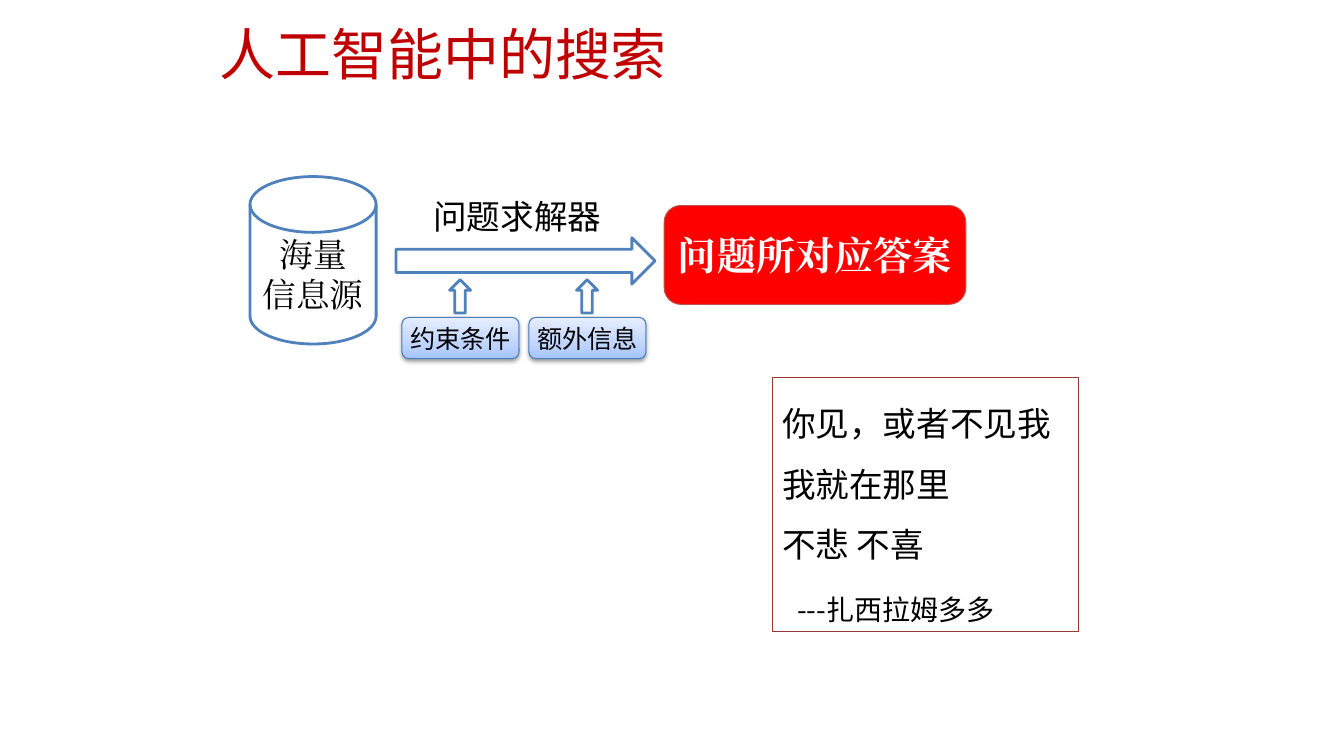
from lxml.etree import SubElement as Sub
from pptx import Presentation
from pptx.dml.color import RGBColor as RGB
from pptx.enum.shapes import MSO_SHAPE as Kind
from pptx.enum.text import MSO_ANCHOR as Anchor, MSO_AUTO_SIZE as Auto, PP_ALIGN as Align
from pptx.oxml.ns import qn
from pptx.util import Cm, Pt

WHITE = RGB(0xFF, 0xFF, 0xFF)
BLACK = RGB(0, 0, 0)
RED = RGB(0xFF, 0, 0)
CRIMSON = RGB(0xC0, 0, 0)
BRICK = RGB(0xC0, 0x50, 0x4D)
MAROON = RGB(0x95, 0x37, 0x35)
BLUE = RGB(0x4F, 0x81, 0xBD)
STEEL = RGB(0x4B, 0x7E, 0xBC)
FADE = [(0, RGB(0xA4, 0xC4, 0xFF)), (35, RGB(0xBF, 0xD4, 0xFF)),
        (100, RGB(0xE6, 0xEE, 0xFF))]

SANS = "Noto Sans CJK SC"
SERIF = "Times New Roman"


def write(frame, text, size=24, font=SANS, color=BLACK, bold=False, align=Align.LEFT,
          anchor=Anchor.TOP, wrap=True, space=None, pad=(0.25, 0.13, 0.25, 0.13)):
    """Fill a text frame, one paragraph a line; pad is left, top, right, bottom in cm."""
    frame.word_wrap = wrap
    frame.vertical_anchor = anchor
    (frame.margin_left, frame.margin_top,
     frame.margin_right, frame.margin_bottom) = map(Cm, pad)
    for i, line in enumerate(text.split("\n")):
        para = frame.add_paragraph() if i else frame.paragraphs[0]
        para.alignment, para.line_spacing = align, space
        run = para.add_run()
        run.text = line
        face = run.font
        face.size, face.name, face.bold = Pt(size), font, bold
        face.color.rgb = color
        Sub(run._r.get_or_add_rPr(), qn("a:ea"), typeface=font)


class Board:
    """Holds the line style and the current slide; lengths are in cm."""

    def __init__(self, deck, line=BLUE, width=2):
        self.slide = deck.slides.add_slide(deck.slide_layouts[6])
        self.line, self.width = line, width

    def label(self, box, text, **form):
        area = self.slide.shapes.add_textbox(*map(Cm, box))
        write(area.text_frame, text, **form)
        return area

    def shape(self, kind, box, text="", fill=WHITE, line=None, width=None, **form):
        item = self.slide.shapes.add_shape(kind, *map(Cm, box))
        item.shadow.inherit = False
        if fill is None:
            item.fill.background()
        else:
            item.fill.solid()
            item.fill.fore_color.rgb = fill
        item.line.color.rgb = line or self.line
        item.line.width = Pt(width or self.width)
        if text:
            write(item.text_frame, text, **form)
        return item

    def pill(self, box, text, **form):
        """Rounded box with words on one centred line."""
        return self.shape(Kind.ROUNDED_RECTANGLE, box, text, width=0.75, wrap=False,
                          align=Align.CENTER, anchor=Anchor.MIDDLE,
                          pad=(0.25, 0, 0.25, 0), **form)

    def input(self, mid, text):
        """Shaded box and the arrow that rises from it, both centred on mid."""
        item = self.pill((mid - 1.47, 8, 2.95, 1.04), text, line=STEEL, size=18)
        item.fill.gradient()
        item.fill.gradient_angle = 90
        stops = item._element.spPr.find(".//" + qn("a:gsLst"))
        stops.clear()
        for pos, color in FADE:
            stop = Sub(stops, qn("a:gs"), pos=str(pos * 1000))
            Sub(stop, qn("a:srgbClr"), val=str(color))
        glow = item._element.spPr.find(qn("a:effectLst"))
        shade = Sub(glow, qn("a:outerShdw"), blurRad=str(Pt(3.1)), dist=str(Pt(1.6)),
                    dir="5400000", rotWithShape="0")
        tint = Sub(shade, qn("a:srgbClr"), val=str(BLACK))
        Sub(tint, qn("a:alpha"), val="38000")
        self.shape(Kind.UP_ARROW, (mid - 0.27, 7.05, 0.53, 0.84))


def main():
    deck = Presentation()
    deck.slide_width, deck.slide_height = Cm(33.87), Cm(19.05)
    board = Board(deck)

    board.label((5.28, 0.38, 23.27, 1.83), "人工智能中的搜索", size=40,
                font="Noto Sans CJK JP", color=CRIMSON, anchor=Anchor.MIDDLE,
                space=0.9, pad=(0.25, 0.41, 0.25, 0.13))

    poem = board.shape(Kind.RECTANGLE, (19.46, 9.52, 7.72, 6.4),
                       "你见，或者不见我\n我就在那里\n不悲 不喜\n---扎西拉姆多多",
                       fill=None, line=MAROON, width=0.75, space=1.5)
    poet = poem.text_frame.paragraphs[-1]
    poet.runs[0].font.size = Pt(20)
    poet.space_before = Pt(8)
    poet._p.get_or_add_pPr().set("marL", str(Cm(0.38)))

    board.shape(Kind.FLOWCHART_MAGNETIC_DISK, (6.3, 4.45, 3.18, 4.22), "海量\n信息源",
                font=SERIF, align=Align.CENTER, anchor=Anchor.MIDDLE)
    board.shape(Kind.RIGHT_ARROW, (9.98, 5.99, 6.53, 1.17))
    solver = board.label((10.67, 4.8, 4.78, 1.27), "问题求解器", wrap=False)
    solver.text_frame.auto_size = Auto.SHAPE_TO_FIT_TEXT

    for mid, text in (11.6, "约束条件"), (14.8, "额外信息"):
        board.input(mid, text)

    board.pill((16.74, 5.18, 7.6, 2.49), "问题所对应答案", fill=RED, line=BRICK,
               size=28, font=SERIF, color=WHITE, bold=True)
    deck.save("out.pptx")


if __name__ == "__main__":
    main()
